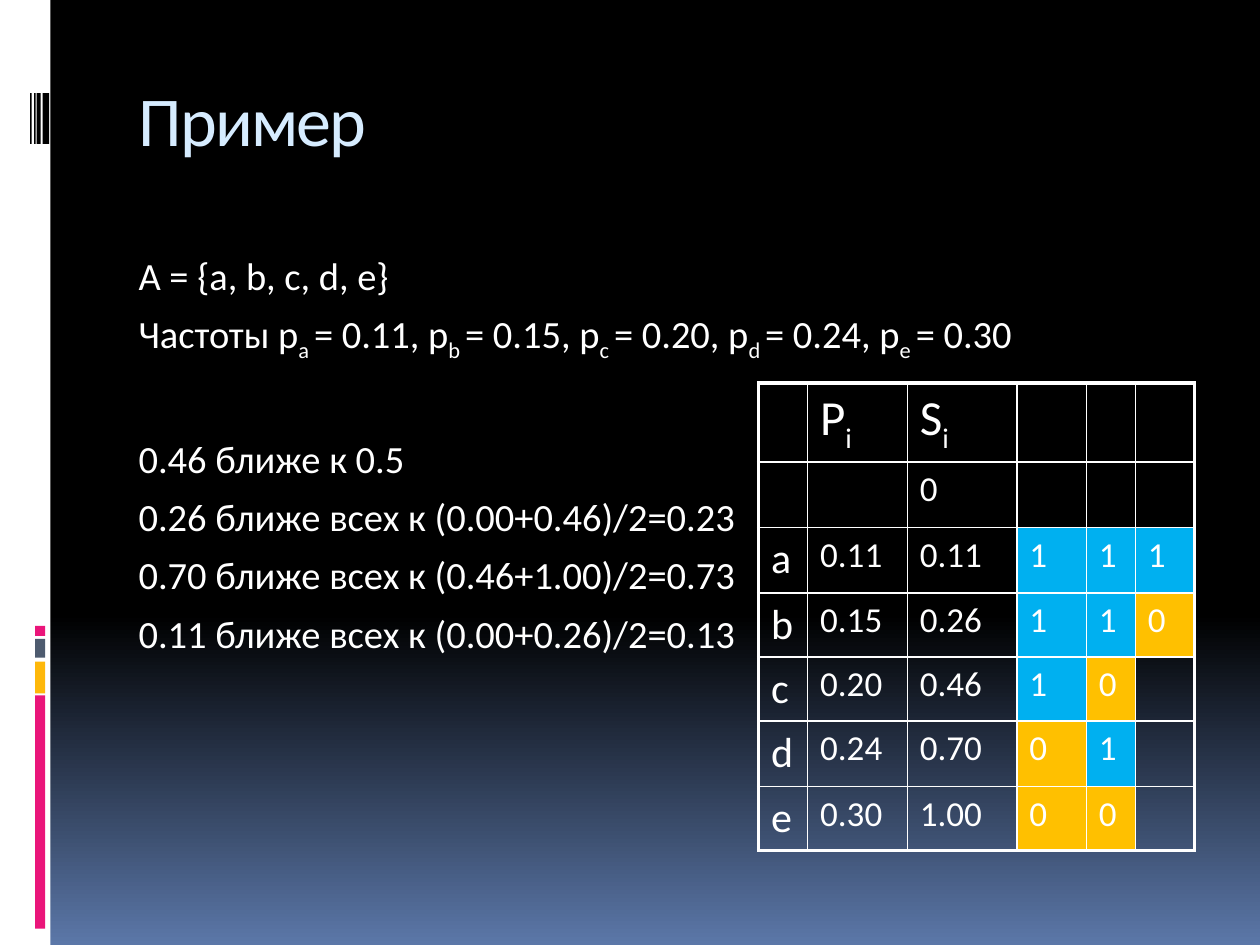
from copy import deepcopy
from itertools import accumulate

from lxml.etree import SubElement
from pptx import Presentation
from pptx.dml.color import RGBColor
from pptx.enum.shapes import MSO_SHAPE as Shape
from pptx.enum.text import MSO_ANCHOR as Anchor, MSO_AUTO_SIZE as AutoSize, PP_ALIGN as Align
from pptx.oxml.ns import qn
from pptx.util import Cm, Pt

WHITE, BLACK, PINK, GOLD, SLATE = "FFFFFF", "000000", "EA157A", "FEB80A", "4E5B6F"
BIT_FILLS = {"1": "00B0F0", "0": "FFC000"}


def color(value):
    return RGBColor.from_string(value)


class SlideBuilder:
    font = "Calibri"
    text_color = WHITE
    title_color = "D6ECFF"

    def __init__(self, page):
        self.page = page

    def background(self, stops):
        fill = self.page.background.fill
        fill.gradient()
        fill.gradient_angle = 270
        stop_list = next(self.page.element.iter(qn("a:gsLst")))
        stop_list.insert(1, deepcopy(stop_list[0]))
        for stop, (position, value) in zip(fill.gradient_stops, stops):
            stop.position = position
            stop.color.rgb = color(value)

    def bar(self, left, top, width, height, fill):
        bar = self.page.shapes.add_shape(
            Shape.RECTANGLE, Cm(left), Cm(top), Cm(width), Cm(height))
        bar.shadow.inherit = False
        bar.fill.solid()
        bar.fill.fore_color.rgb = color(fill)
        bar.line.fill.background()

    def add_span(self, para, text, size, lowered=False, value=None):
        span = para.add_run()
        span.text = text
        span.font.name = self.font
        span.font.size = Pt(size)
        span.font.color.rgb = color(value or self.text_color)
        if lowered:
            span.font._element.set("baseline", "-25000")
        return span

    def place(self, box, left, top, width, height):
        box.left, box.top, box.width, box.height = Cm(left), Cm(top), Cm(width), Cm(height)
        frame = box.text_frame
        frame.word_wrap = True
        frame.auto_size = AutoSize.NONE
        frame.vertical_anchor = Anchor.TOP
        return frame

    def title(self, text, *bounds):
        para = self.place(self.page.shapes.title, *bounds).paragraphs[0]
        para.alignment = Align.LEFT
        span = self.add_span(para, text, 40, value=self.title_color)
        span.font._element.set("spc", "-100")

    def body(self, lines, *bounds):
        frame = self.place(self.page.placeholders[1], *bounds)
        for index, (space, spans) in enumerate(lines):
            para = frame.add_paragraph() if index else frame.paragraphs[0]
            para.space_before = Pt(space)
            properties = para._p.get_or_add_pPr()
            properties.set("marL", str(Cm(1.7)))
            properties.set("indent", str(-Cm(1.7)))
            SubElement(properties, qn("a:buNone"))
            for text, lowered in spans:
                self.add_span(para, text, 22, lowered)

    def border(self, cell, side, width):
        line = SubElement(cell._tc.get_or_add_tcPr(), qn(f"a:ln{side}"), w=str(Pt(width)))
        fill = SubElement(line, qn("a:solidFill"))
        SubElement(fill, qn("a:srgbClr"), val=WHITE)

    def table(self, rows, left, top, widths, heights):
        frame = self.page.shapes.add_table(
            len(rows), len(widths), Cm(left), Cm(top), Cm(sum(widths)), Cm(sum(heights)))
        table = frame.table
        table.first_row = table.horz_banding = False
        for column, width in zip(table.columns, widths):
            column.width = Cm(width)
        for row, height in zip(table.rows, heights):
            row.height = Cm(height)
        last_row, last_column = len(rows) - 1, len(widths) - 1
        for y, row in enumerate(rows):
            for x, text in enumerate(row):
                cell = table.cell(y, x)
                outer = {"L": x == 0, "R": x == last_column, "T": y == 0, "B": y == last_row}
                for side, is_outer in outer.items():
                    self.border(cell, side, 2.25 if is_outer else 1)
                if x > 2 and text:
                    cell.fill.solid()
                    cell.fill.fore_color.rgb = color(BIT_FILLS[text])
                else:
                    cell.fill.background()
                size = 28 if y == 0 else 24 if x == 0 else 20
                para = cell.text_frame.paragraphs[0]
                for index, letter in enumerate(text if y == 0 else [text] if text else []):
                    self.add_span(para, letter, size, index > 0)


def main():
    deck = Presentation()
    deck.slide_width, deck.slide_height = Cm(25.4), Cm(19.05)
    builder = SlideBuilder(deck.slides.add_slide(deck.slide_layouts[1]))
    builder.background([(0, BLACK), (0.65, BLACK), (1, "5B77A8")])

    builder.bar(0, 0, 1.02, 19.05, WHITE)
    for top, height, fill in [(14.02, 4.7, PINK), (13.34, 0.64, GOLD),
                              (12.88, 0.38, SLATE), (12.62, 0.2, PINK)]:
        builder.bar(0.71, top, 0.2, height, fill)
    for left, width in [(0.86, 0.13), (0.74, 0.08), (0.69, 0.03), (0.61, 0.03)]:
        builder.bar(left, 1.88, width, 1.02, BLACK)

    frequencies = {"a": 0.11, "b": 0.15, "c": 0.20, "d": 0.24, "e": 0.30}
    codes = ["111", "110", "10", "01", "00"]

    frequency_spans = [("Частоты p", False)]
    for letter, frequency in frequencies.items():
        ending = "" if letter == "e" else ", p"
        frequency_spans += [(f"{letter} ", True), (f"= {frequency:.2f}{ending}", False)]
    builder.body([
        (7, [("А = {a, b, c, d, e}", False)]),
        (7, frequency_spans),
        (41, [("0.46 ближе к 0.5", False)]),
        (7, [("0.26 ближе всех к (0.00+0.46)/2=0.23", False)]),
        (7, [("0.70 ближе всех к (0.46+1.00)/2=0.73", False)]),
        (7, [("0.11 ближе всех к (0.00+0.26)/2=0.13", False)]),
    ], 2.54, 4.95, 21.59, 12.7)

    rows = [["", "Pi", "Si", "", "", ""], ["", "", "0", "", "", ""]]
    totals = accumulate(frequencies.values())
    for (letter, frequency), total, code in zip(frequencies.items(), totals, codes):
        bits = [*code, ""][:3]
        rows.append([letter, f"{frequency:.2f}", f"{total:.2f}", *bits])
    builder.table(rows, 15.29, 7.72, [0.99, 2.01, 2.21, 1.4, 0.99, 1.19],
                  [1.45, 1.32, 1.32, 1.27, 1.27, 1.32, 1.27])

    builder.title("Пример", 2.54, 1.42, 21.59, 2.54)
    deck.save("out.pptx")


if __name__ == "__main__":
    main()
